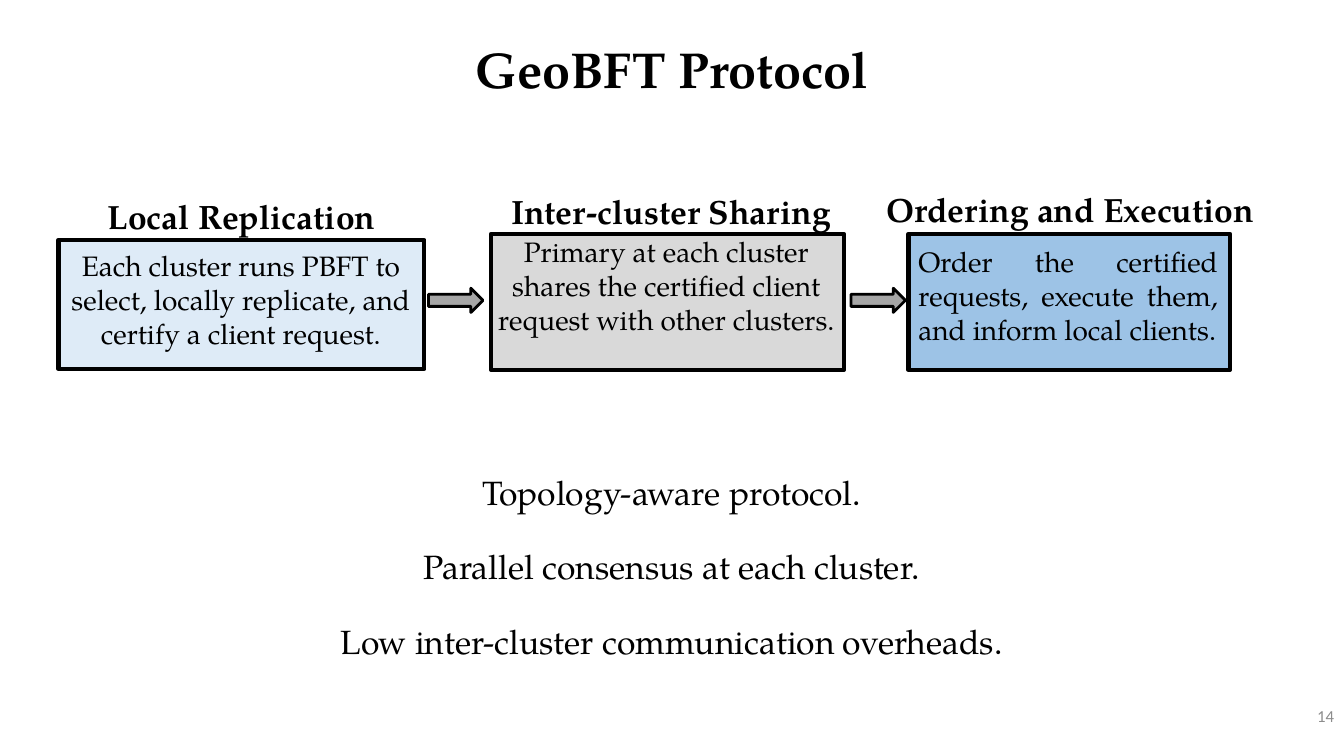
from pptx import Presentation
from pptx.dml.color import RGBColor
from pptx.enum import shapes, text
from pptx.util import Inches, Pt

BLACK = RGBColor(0, 0, 0)
PALE_BLUE = RGBColor(0xDE, 0xEB, 0xF7)
LIGHT_GRAY = RGBColor(0xD9, 0xD9, 0xD9)
BLUE = RGBColor(0x9D, 0xC3, 0xE6)
ARROW_GRAY = RGBColor(0xA6, 0xA6, 0xA6)
NUMBER_GRAY = RGBColor(0x8C, 0x8C, 0x8C)

SERIF = "TeX Gyre Pagella"
LEFT, CENTER, RIGHT, JUSTIFY = (
    text.PP_ALIGN.LEFT, text.PP_ALIGN.CENTER, text.PP_ALIGN.RIGHT, text.PP_ALIGN.JUSTIFY)
TOP, MIDDLE = text.MSO_ANCHOR.TOP, text.MSO_ANCHOR.MIDDLE

# Areas are left, top, width, height in inches.
TITLE = "GeoBFT Protocol"
STAGES = [
    {"heading": "Local Replication", "heading_area": (0.97, 1.89, 2.9, 0.5),
     "detail": "Each cluster runs PBFT to select, locally replicate, and certify a client request.",
     "detail_area": (0.59, 2.42, 3.6, 1.11), "align": CENTER,
     "box_area": (0.58, 2.38, 3.63, 1.28), "fill": PALE_BLUE},
    {"heading": "Inter-cluster Sharing", "heading_area": (4.97, 1.84, 3.39, 0.5),
     "detail": "Primary at each cluster shares the certified client request with other clusters.",
     "detail_area": (4.81, 2.28, 3.6, 1.11), "align": CENTER,
     "box_area": (4.87, 2.32, 3.5, 1.35), "fill": LIGHT_GRAY},
    {"heading": "Ordering and Execution", "heading_area": (8.69, 1.83, 3.88, 0.5),
     "detail": "Order the certified requests, execute them, and inform local clients.",
     "detail_area": (9.01, 2.38, 3.17, 1.11), "align": JUSTIFY,
     "box_area": (9.01, 2.32, 3.19, 1.35), "fill": BLUE},
]
ARROW_LEFTS = (4.25, 8.44)
BENEFITS = [
    "Topology-aware protocol.",
    "Parallel consensus at each cluster.",
    "Low inter-cluster communication overheads.",
]
PAGE_NUMBER = "14"


def add_block(slide, kind, area, fill, line_width):
    block = slide.shapes.add_shape(kind, *map(Inches, area))
    block.shadow.inherit = False
    block.fill.solid()
    block.fill.fore_color.rgb = fill
    block.line.color.rgb = BLACK
    block.line.width = Pt(line_width)


def add_text(slide, area, lines, size, align=LEFT, anchor=TOP, bold=False,
             font=SERIF, color=BLACK, line_spacing=1.0, gap=0, wrap=True):
    """Add one paragraph per line, with gap points between paragraphs."""
    frame = slide.shapes.add_textbox(*map(Inches, area)).text_frame
    frame.word_wrap = wrap
    frame.vertical_anchor = anchor
    for index, line in enumerate(lines):
        paragraph = frame.add_paragraph() if index else frame.paragraphs[0]
        paragraph.alignment = align
        paragraph.line_spacing = line_spacing
        if index and gap:
            paragraph.space_before = Pt(gap)
        run = paragraph.add_run()
        run.text = line
        for attribute, value in {"name": font, "size": Pt(size), "bold": bold}.items():
            setattr(run.font, attribute, value)
        run.font.color.rgb = color


def main():
    deck = Presentation()
    deck.slide_width, deck.slide_height = Inches(13.33), Inches(7.5)
    slide = deck.slides.add_slide(deck.slide_layouts[6])

    add_text(slide, (0, 0.39, 13.33, 0.66), [TITLE], 36, CENTER, MIDDLE,
             bold=True, line_spacing=0.9)
    for stage in STAGES:
        add_block(slide, shapes.MSO_SHAPE.RECTANGLE, stage["box_area"], stage["fill"], 3)
        add_text(slide, stage["detail_area"], [stage["detail"]], 20, stage["align"])
        add_text(slide, stage["heading_area"], [stage["heading"]], 24, bold=True, wrap=False)
    for left in ARROW_LEFTS:
        add_block(slide, shapes.MSO_SHAPE.RIGHT_ARROW, (left, 2.86, 0.54, 0.24), ARROW_GRAY, 2)
    add_text(slide, (0.34, 4.43, 12.64, 2.14), BENEFITS, 24, CENTER, line_spacing=1.5, gap=10)
    add_text(slide, (11.63, 6.9, 1.7, 0.4), [PAGE_NUMBER], 12, RIGHT, MIDDLE,
             font="Calibri", color=NUMBER_GRAY)
    deck.save("out.pptx")


if __name__ == "__main__":
    main()
